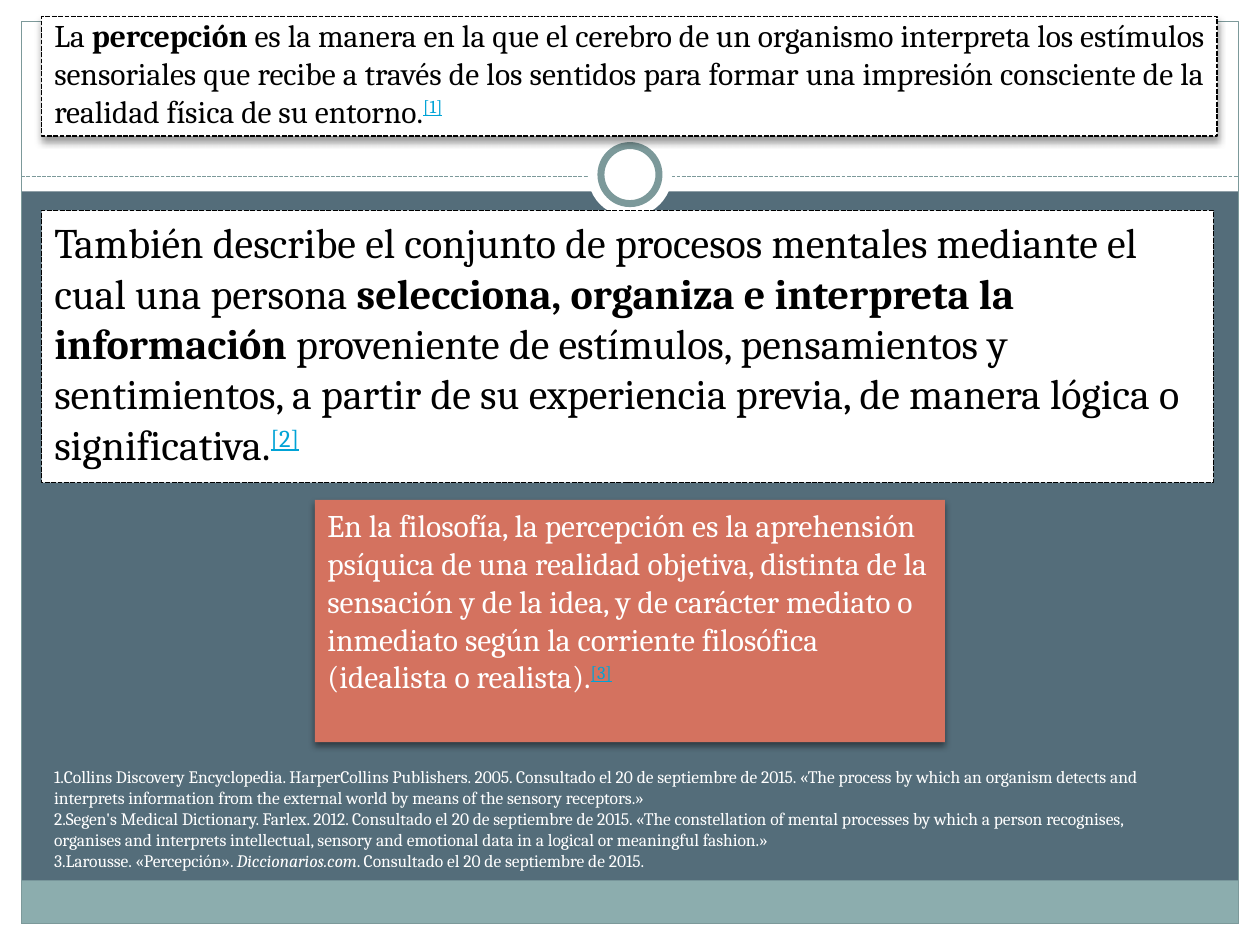
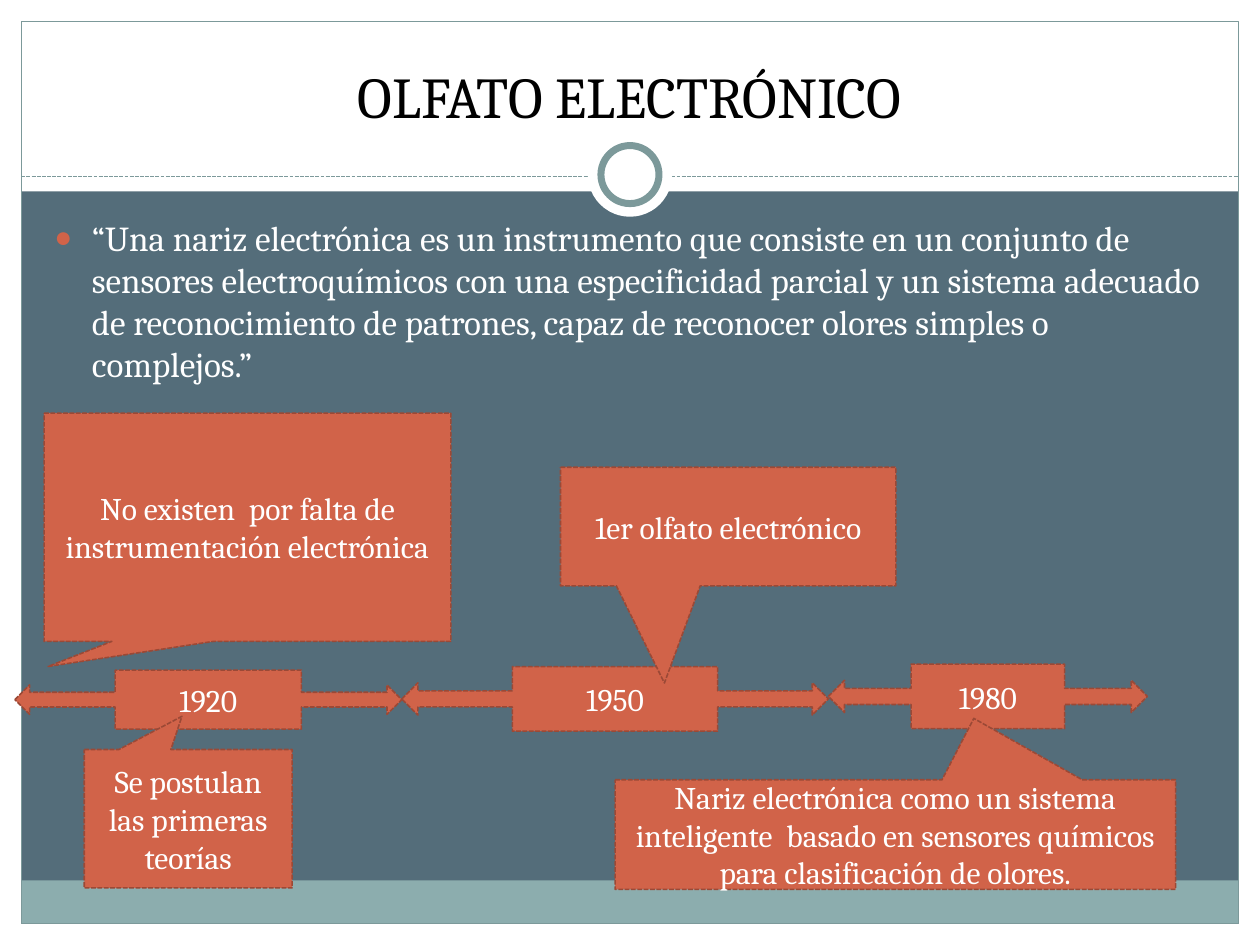
from dataclasses import dataclass

from lxml import etree
from pptx import Presentation
from pptx import util as u
from pptx.dml.color import RGBColor
from pptx.enum import dml, shapes, text
from pptx.oxml import ns

KIND = shapes.MSO_SHAPE
ALIGN = text.PP_ALIGN
ANCHOR = text.MSO_ANCHOR


@dataclass(frozen=True)
class Theme:
    font: str = "Cambria"
    back: str = "546D7A"
    white: str = "FFFFFF"
    black: str = "000000"
    band: str = "8CADAE"
    frame: str = "7C999A"
    accent: str = "D16349"
    accent_edge: str = "9B4936"
    accent_soft: str = "D4725F"
    mark: str = "00A3D6"
    title_size: float = 33
    lead_size: float = 24
    body_size: float = 20
    text_size: float = 18
    note_size: float = 10
    thin: float = 0.75
    edge: float = 0.9
    ring: float = 4


THEME = Theme()
WIDTH, HEIGHT = 25.4, 19.05
MARGIN = 0.43
TEXT_LEFT = 0.84
BODY_TOP, BODY_WIDTH = 4.24, 23.62


# --- Basic formatting ---

def rgb(code):
    return RGBColor.from_string(code)


def cm_box(left, top, width, height):
    return [u.Cm(value) for value in (left, top, width, height)]


def place(shape, *box):
    shape.left, shape.top, shape.width, shape.height = cm_box(*box)


def set_line(line, color, width, dashed=False):
    line.color.rgb = rgb(color)
    line.width = u.Pt(width)
    if dashed:
        line.dash_style = dml.MSO_LINE.SQUARE_DOT


def paint(shape, fill=None, edge=None, edge_width=THEME.edge, dashed=False):
    if fill:
        shape.fill.solid()
        shape.fill.fore_color.rgb = rgb(fill)
    else:
        shape.fill.background()
    if edge:
        set_line(shape.line, edge, edge_width, dashed)
    else:
        shape.line.fill.background()
    shape.shadow.inherit = False


def add_shadow(shape, opacity, blur, distance):
    effects = shape.element.spPr.find(ns.qn("a:effectLst"))
    shadow = etree.SubElement(
        effects, ns.qn("a:outerShdw"), blurRad=str(u.Pt(blur)),
        dist=str(u.Pt(distance)), dir="5400000", rotWithShape="0")
    color = etree.SubElement(shadow, ns.qn("a:srgbClr"), val=THEME.black)
    etree.SubElement(color, ns.qn("a:alpha"), val=str(opacity * 1000))


def add_shape(slide, kind, box, **look):
    shape = slide.shapes.add_shape(kind, *cm_box(*box))
    paint(shape, **look)
    return shape


# --- Text ---

def set_bullet(para, indent, *elements):
    """Each element is a tag with its attributes, in schema order."""
    properties = para._p.get_or_add_pPr()
    properties.set("marL", str(u.Cm(indent)))
    properties.set("indent", str(-u.Cm(indent)))
    for tag, attributes in elements:
        bullet = etree.SubElement(properties, ns.qn(tag), attributes)
        if tag == "a:buClr":
            etree.SubElement(bullet, ns.qn("a:srgbClr"), val=THEME.accent)


def write_para(para, spans, size, color, align=ALIGN.LEFT):
    """Each span is plain text, or a (text, style) pair."""
    para.alignment = align
    para.space_before = u.Pt(0)
    for item in spans:
        words, style = (item, "plain") if isinstance(item, str) else item
        span = para.add_run()
        span.text = words
        font = span.font
        font.name, font.size = THEME.font, u.Pt(size)
        font.color.rgb = rgb(THEME.mark if style == "mark" else color)
        font.bold = style == "bold"
        font.italic = style == "italic"
        if style == "mark":
            font.underline = True
            font._element.set("baseline", "30000")


def open_frame(shape, anchor=ANCHOR.TOP):
    frame = shape.text_frame
    frame.word_wrap = True
    frame.auto_size = text.MSO_AUTO_SIZE.NONE
    frame.vertical_anchor = anchor
    return frame


def write(shape, spans, size, color, align=ALIGN.LEFT, anchor=ANCHOR.TOP):
    write_para(open_frame(shape, anchor).paragraphs[0], spans, size, color, align)


# --- Shared layout ---

def build_layout(deck):
    """Draw the common frame once and keep it in the slide layout."""
    layout = deck.slide_layouts[1]
    for holder in list(layout.placeholders)[2:]:
        holder.element.getparent().remove(holder.element)
    layout.background.fill.solid()
    layout.background.fill.fore_color.rgb = rgb(THEME.back)

    page = deck.slides.add_slide(layout)
    inner = WIDTH - 2 * MARGIN
    parts = [add_shape(page, KIND.RECTANGLE, box, fill=THEME.white) for box in (
        (0, HEIGHT - MARGIN, WIDTH, MARGIN),
        (0, 0, WIDTH, 3.86),
        (0, 0, MARGIN, HEIGHT),
        (WIDTH - MARGIN, 0, MARGIN, HEIGHT))]
    parts.append(add_shape(page, KIND.RECTANGLE, (MARGIN, 17.75, inner, 0.87),
                           fill=THEME.band))
    parts.append(add_shape(page, KIND.RECTANGLE,
                           (MARGIN, MARGIN, inner, HEIGHT - 2 * MARGIN),
                           edge=THEME.frame, edge_width=THEME.thin))

    rule = page.shapes.add_connector(
        shapes.MSO_CONNECTOR.STRAIGHT,
        *cm_box(MARGIN, 3.56, WIDTH - MARGIN, 3.56))
    set_line(rule.line, THEME.frame, THEME.thin, dashed=True)
    etree.SubElement(rule.element.spPr, ns.qn("a:effectLst"))
    parts.append(rule)

    for size, edge in ((1.7, None), (1.17, THEME.frame)):
        box = ((WIDTH - size) / 2, 3.52 - size / 2, size, size)
        parts.append(add_shape(page, KIND.OVAL, box, fill=THEME.white,
                               edge=edge, edge_width=THEME.ring))
    for part in parts:
        layout.shapes.element.append(part.element)
    return layout, page


# --- Slide 1: definitions of perception ---

def build_perception(page):
    title = page.shapes.title
    place(title, TEXT_LEFT, 0.33, 23.7, 2.41)
    paint(title, THEME.white, THEME.black, dashed=True)
    add_shadow(title, 40, 4, 3)
    write(title, [
        "La ", ("percepción", "bold"),
        " es la manera en la que el cerebro de un organismo interpreta los "
        "estímulos sensoriales que recibe a través de los sentidos para formar "
        "una impresión consciente de la realidad física de su entorno.",
        ("[1]", "mark")],
        THEME.text_size, THEME.black, ALIGN.JUSTIFY, ANCHOR.BOTTOM)

    body = page.placeholders[1]
    place(body, TEXT_LEFT, BODY_TOP, BODY_WIDTH, 5.49)
    paint(body, THEME.white, THEME.black, dashed=True)
    set_bullet(body.text_frame.paragraphs[0], 0, ("a:buNone", {}))
    write(body, [
        "También describe el conjunto de procesos mentales mediante el cual "
        "una persona",
        (" selecciona, organiza e interpreta la información ", "bold"),
        "proveniente de estímulos, pensamientos y sentimientos, a partir de su "
        "experiencia previa, de manera lógica o significativa.",
        ("[2]", "mark")], THEME.lead_size, THEME.black)

    # Numbered references
    notes = page.shapes.add_textbox(*cm_box(TEXT_LEFT, 15.32, 23.47, 2.39))
    frame = open_frame(notes)
    references = (
        ["Collins Discovery Encyclopedia. HarperCollins Publishers. 2005. "
         "Consultado el 20 de septiembre de 2015. «The process by which an "
         "organism detects and interprets information from the external world "
         "by means of the sensory receptors.»"],
        ["Segen's Medical Dictionary. Farlex. 2012. Consultado el 20 de "
         "septiembre de 2015. «The constellation of mental processes by which "
         "a person recognises, organises and interprets intellectual, sensory "
         "and emotional data in a logical or meaningful fashion.»"],
        ["Larousse. «Percepción». ", ("Diccionarios.com", "italic"),
         ". Consultado el 20 de septiembre de 2015."])
    for index, spans in enumerate(references):
        para = frame.add_paragraph() if index else frame.paragraphs[0]
        set_bullet(para, 0, ("a:buFont", {"typeface": "+mj-lt"}),
                   ("a:buAutoNum", {"type": "arabicPeriod"}))
        write_para(para, spans, THEME.note_size, THEME.white)

    # Philosophical definition
    philosophy = add_shape(page, KIND.RECTANGLE, (6.35, 10.08, 12.7, 4.88),
                           fill=THEME.accent_soft)
    add_shadow(philosophy, 45, 4, 2)
    write(philosophy, [
        "En la filosofía, la percepción es la aprehensión psíquica de una "
        "realidad objetiva, distinta de la sensación y de la idea, y de "
        "carácter mediato o inmediato según la corriente filosófica (idealista "
        "o realista).", ("[3]", "mark")], THEME.text_size, THEME.white)


# --- Slide 2: timeline of the electronic nose ---

def add_label(page, kind, box, words):
    label = add_shape(page, kind, box, fill=THEME.accent,
                      edge=THEME.accent_edge, dashed=True)
    write(label, [words], THEME.text_size, THEME.white, ALIGN.CENTER, ANCHOR.MIDDLE)
    return label


def add_callout(page, box, tip, words):
    callout = add_label(page, KIND.RECTANGULAR_CALLOUT, box, words)
    callout.adjustments[0], callout.adjustments[1] = tip


def build_timeline(page):
    title = page.shapes.title
    place(title, TEXT_LEFT, 0.64, 23.7, 2.11)
    write(title, ["OLFATO ELECTRÓNICO"], THEME.title_size, THEME.black,
          ALIGN.CENTER, ANCHOR.BOTTOM)

    body = page.placeholders[1]
    place(body, TEXT_LEFT, BODY_TOP, BODY_WIDTH, 6.27)
    set_bullet(body.text_frame.paragraphs[0], 0.76, ("a:buClr", {}),
               ("a:buSzPct", {"val": "85000"}), ("a:buChar", {"char": "●"}))
    write(body, [
        "“Una nariz electrónica es un instrumento que consiste en un conjunto "
        "de sensores electroquímicos con una especificidad parcial y un sistema "
        "adecuado de reconocimiento de patrones, capaz de reconocer olores "
        "simples o complejos.”"], THEME.body_size, THEME.white)

    # Years, end to end
    left = 0.3
    for year, top, width, height in (("1920", 13.51, 7.8, 1.19),
                                     ("1950", 13.44, 8.6, 1.3),
                                     ("1980", 13.39, 6.43, 1.3)):
        add_label(page, KIND.LEFT_RIGHT_ARROW_CALLOUT,
                  (left, top, width, height), year)
        left += width

    # Events pointing at the years
    add_callout(page, (0.89, 8.33, 8.2, 4.6), (-0.49, 0.61),
                "No existen  por falta de instrumentación electrónica")
    add_callout(page, (1.7, 15.11, 4.19, 2.79), (-0.03, -0.74),
                "Se postulan las primeras teorías")
    add_callout(page, (11.3, 9.42, 6.76, 2.39), (-0.19, 1.32),
                "1er olfato electrónico")
    add_callout(page, (12.4, 15.72, 11.3, 2.21), (0.14, -1.06),
                "Nariz electrónica como un sistema inteligente  basado en "
                "sensores químicos para clasificación de olores.")


def main():
    deck = Presentation()
    deck.slide_width, deck.slide_height = u.Cm(WIDTH), u.Cm(HEIGHT)
    layout, first_page = build_layout(deck)
    build_perception(first_page)
    build_timeline(deck.slides.add_slide(layout))
    deck.save("out.pptx")


if __name__ == "__main__":
    main()
